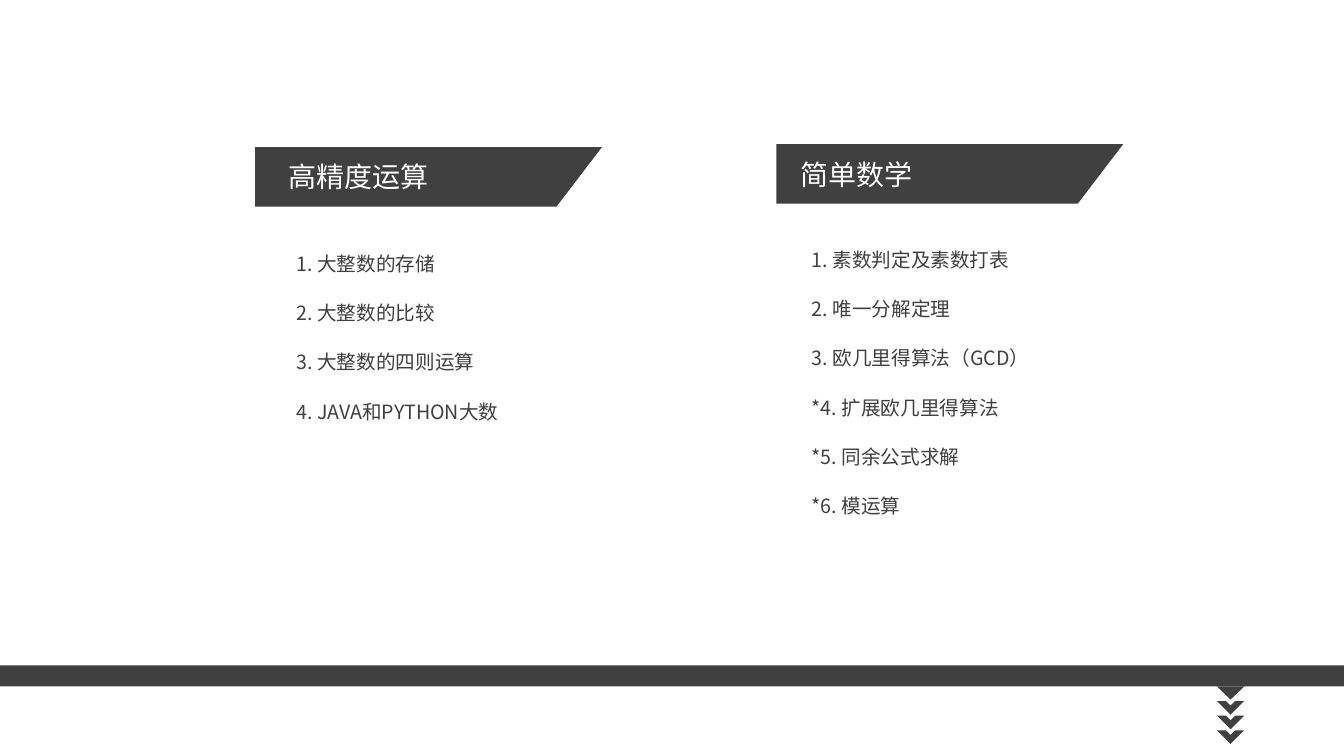
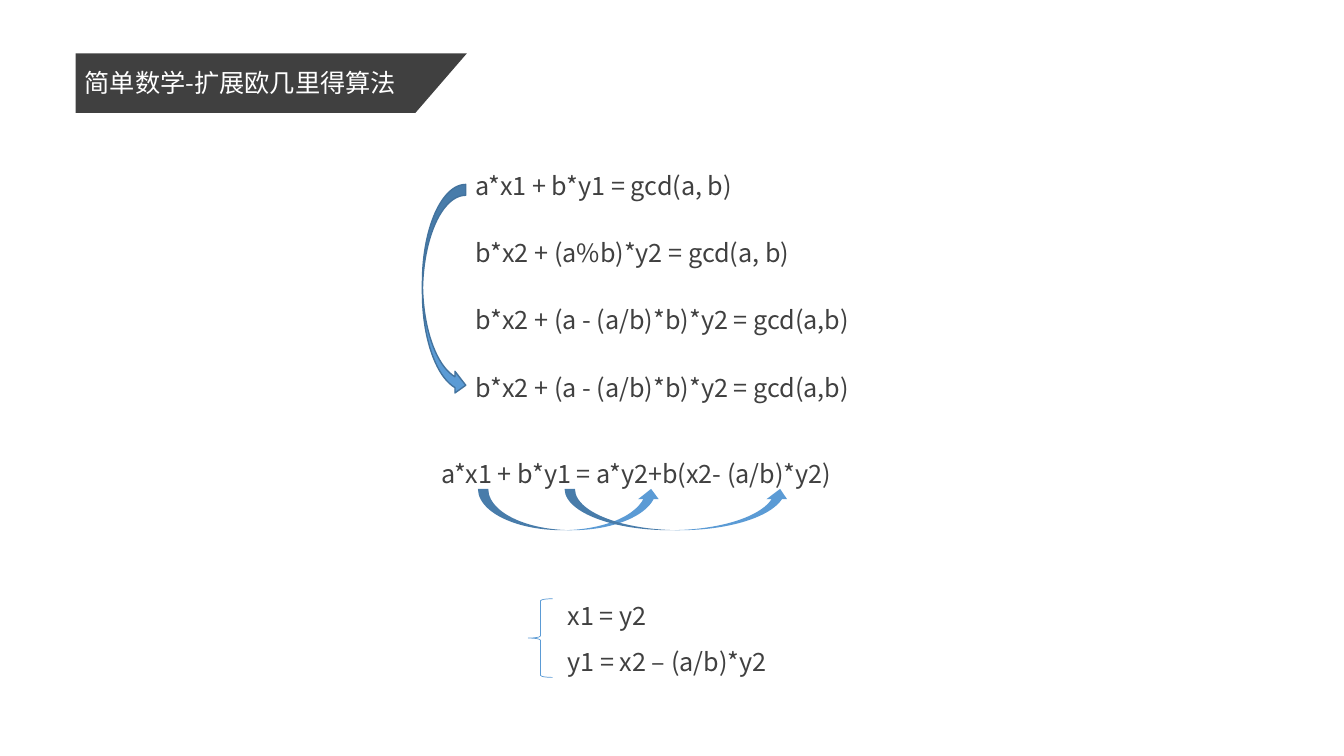
from dataclasses import dataclass
from typing import Any

from lxml import etree
from pptx import Presentation
from pptx.dml.color import RGBColor
from pptx.enum.shapes import MSO_SHAPE
from pptx.enum.text import MSO_ANCHOR, MSO_AUTO_SIZE, PP_ALIGN
from pptx.oxml.ns import qn
from pptx.util import Inches, Pt

RECT, FRAME, TIP = MSO_SHAPE.RECTANGLE, MSO_SHAPE.HALF_FRAME, MSO_SHAPE.ISOSCELES_TRIANGLE
RIGHT, UP, BRACE = MSO_SHAPE.CURVED_RIGHT_ARROW, MSO_SHAPE.CURVED_UP_ARROW, MSO_SHAPE.LEFT_BRACE
TOP, MID, LOW = MSO_ANCHOR.TOP, MSO_ANCHOR.MIDDLE, MSO_ANCHOR.BOTTOM
LEFT, FIXED = PP_ALIGN.LEFT, MSO_AUTO_SIZE.NONE

# Shared style
FONT = "Noto Sans CJK SC"
COLOR = {"dark": "404040", "white": "FFFFFF", "blue": "5B9BD5", "edge": "43739E"}
BAND_H = 0.59


@dataclass
class Box:
    x: float
    y: float
    w: float
    h: float

    def place(self, item: Any) -> None:
        for key, val in zip(("left", "top", "width", "height"), (self.x, self.y, self.w, self.h)):
            setattr(item, key, Inches(val))


@dataclass
class Style:
    size: int
    color: str = "dark"
    anchor: Any = TOP
    line: float = 1.0
    before: int = 0
    indent: float = 0


@dataclass
class Part:
    kind: Any
    box: Box
    fill: str = ""
    edge: str = ""
    width: float = 1
    turn: float = 0


HEAD = Style(20, "white", MID)
TITLE = Style(18, "white", LOW)
MATH = Style(18)
WIDE = Style(18, line=1.5)


def rgb(name: str) -> RGBColor:
    return RGBColor.from_string(COLOR[name])


def paint(item: Any, fill: str, edge: str = "", width: float = 1) -> None:
    item.shadow.inherit = False
    if fill:
        item.fill.solid()
        item.fill.fore_color.rgb = rgb(fill)
    else:
        item.fill.background()
    if edge:
        item.line.color.rgb = rgb(edge)
        item.line.width = Pt(width)
    else:
        item.line.fill.background()


def write(item: Any, box: Box, lines: list[str], style: Style) -> None:
    box.place(item)
    frame = item.text_frame
    frame.text = "\n".join(lines)
    form = {"word_wrap": True, "auto_size": FIXED, "vertical_anchor": style.anchor}
    for key, val in form.items():
        setattr(frame, key, val)
    for para in frame.paragraphs:
        form = {"alignment": LEFT, "line_spacing": style.line, "space_before": Pt(style.before)}
        for key, val in form.items():
            setattr(para, key, val)
        # Plain lines with a left indent and no bullet
        props = para._p.get_or_add_pPr()
        props.set("marL", str(Inches(style.indent)))
        props.set("indent", "0")
        etree.SubElement(props, qn("a:buNone"))
        for run in para.runs:
            for key, val in {"name": FONT, "size": Pt(style.size), "bold": False}.items():
                setattr(run.font, key, val)
            run.font.color.rgb = rgb(style.color)
            east = etree.SubElement(run._r.get_or_add_rPr(), qn("a:ea"))
            east.set("typeface", FONT)


def label(slide: Any, box: Box, lines: list[str], style: Style) -> None:
    write(slide.shapes.add_textbox(0, 0, 0, 0), box, lines, style)


def draw(slide: Any, part: Part) -> None:
    item = slide.shapes.add_shape(part.kind, 0, 0, 0, 0)
    part.box.place(item)
    item.rotation = part.turn
    paint(item, part.fill, part.edge, part.width)


def band(slide: Any, x: float, y: float, w: float, slant: float) -> None:
    pen = slide.shapes.build_freeform(Inches(x), Inches(y), scale=1.0)
    spots = [(x + w, y), (x + w - slant, y + BAND_H), (x, y + BAND_H)]
    pen.add_line_segments([(Inches(a), Inches(b)) for a, b in spots], close=True)
    item = pen.convert_to_shape()
    paint(item, "dark")
    # Send behind the title
    item.element.getparent().insert(2, item.element)


deck = Presentation()
deck.slide_width, deck.slide_height = Inches(13.33), Inches(7.5)

# Slide 1: two topic lists
slide = deck.slides.add_slide(deck.slide_layouts[3])
title, first, second = slide.placeholders
band(slide, 2.53, 1.46, 3.44, 0.45)
band(slide, 7.7, 1.43, 3.44, 0.45)
write(title, Box(2.76, 1.44, 2.97, 0.61), ["高精度运算"], HEAD)
label(slide, Box(7.84, 1.42, 2.97, 0.61), ["简单数学"], HEAD)
write(first, Box(2.53, 2.33, 3.44, 4.33),
      ["1. 大整数的存储", "2. 大整数的比较", "3. 大整数的四则运算", "4. JAVA和PYTHON大数"],
      Style(14, line=1.5, before=10, indent=0.31))
write(second, Box(7.61, 2.29, 3.44, 4.33),
      ["1. 素数判定及素数打表", "2. 唯一分解定理", "3. 欧几里得算法（GCD）",
       "*4. 扩展欧几里得算法", "*5. 同余公式求解", "*6. 模运算"],
      Style(14, line=1.5, before=10, indent=0.34))

# Footer bar with its falling chevrons
draw(slide, Part(RECT, Box(0, 6.6, 13.33, 0.21), "dark"))
draw(slide, Part(TIP, Box(12.07, 6.81, 0.27, 0.13), "dark", turn=180))
for step in range(3):
    draw(slide, Part(FRAME, Box(12.11, 6.86 + 0.145 * step, 0.19, 0.19), "dark", turn=225))

# Slide 2: extended Euclid
slide = deck.slides.add_slide(deck.slide_layouts[5])
band(slide, 0.75, 0.53, 3.88, 0.51)
write(slide.shapes.title, Box(0.74, 0.41, 3.44, 0.61), ["简单数学-扩展欧几里得算法"], TITLE)

# Chain of equal forms
chain = ["a*x1 + b*y1 = gcd(a, b)", "b*x2 + (a%b)*y2 = gcd(a, b)",
         *["b*x2 + (a - (a/b)*b)*y2 = gcd(a,b)"] * 2]
for row, text in enumerate(chain):
    label(slide, Box(4.62, 1.64 + 0.667 * row, 4.69, 0.4), [text], MATH)

# Matched terms and result
label(slide, Box(4.28, 4.35, 4.47, 0.5), ["a*x1 + b*y1 = a*y2+b(x2- (a/b)*y2)"], WIDE)
label(slide, Box(5.53, 5.76, 3.78, 0.96), ["x1 = y2", "y1 = x2 – (a/b)*y2"], WIDE)
for part in (
    Part(RIGHT, Box(4.19, 1.83, 0.43, 2.1), "blue", "edge"),
    Part(UP, Box(4.74, 4.85, 1.82, 0.41), "blue"),
    Part(UP, Box(5.6, 4.85, 2.24, 0.41), "blue"),
    Part(BRACE, Box(5.24, 5.94, 0.24, 0.78), edge="blue", width=0.5),
):
    draw(slide, part)

deck.save("out.pptx")
